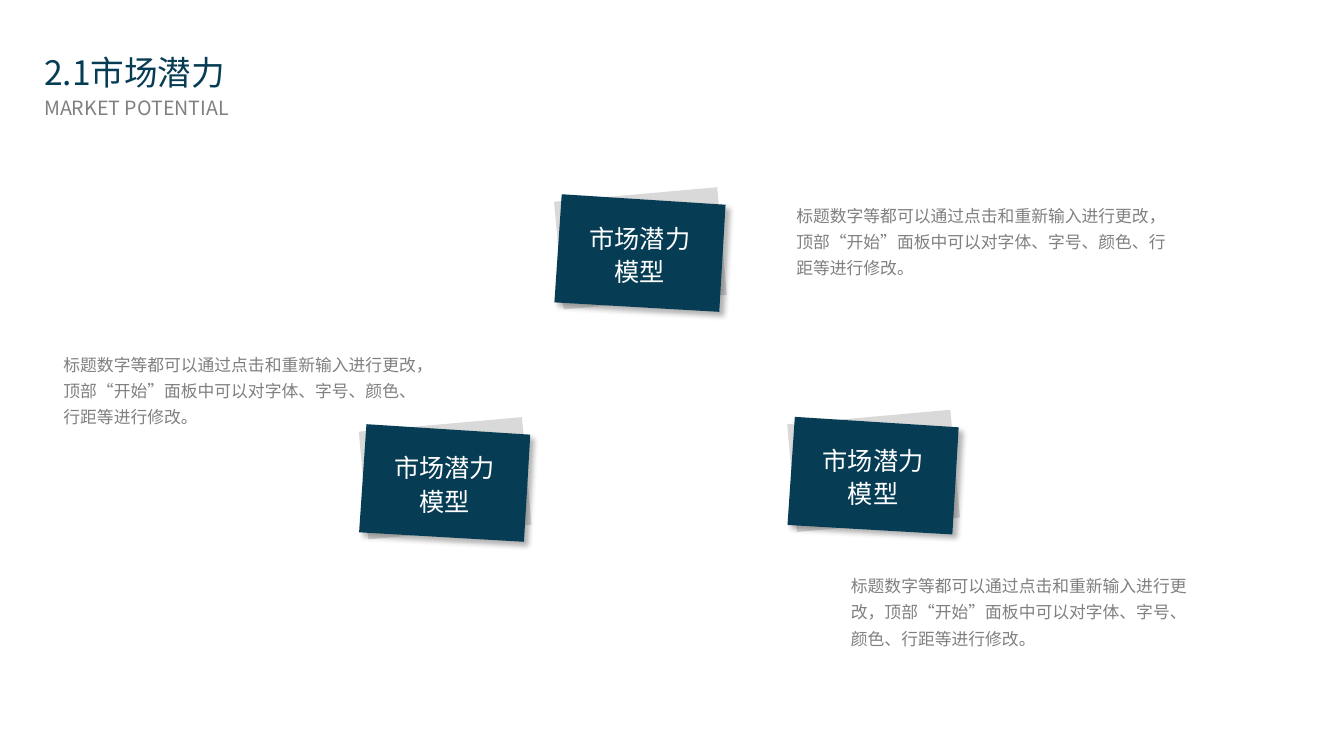
from lxml.etree import SubElement
from pptx import Presentation
from pptx.dml.color import RGBColor
from pptx.enum.lang import MSO_LANGUAGE_ID
from pptx.enum.shapes import MSO_SHAPE
from pptx.enum.text import MSO_ANCHOR, MSO_AUTO_SIZE, PP_ALIGN
from pptx.oxml.ns import qn
from pptx.util import Pt

EMU_PER_PX = 9525
NAVY, GREY, LIGHT, WHITE = "063D54", "808080", "D9D9D9", "FFFFFF"
CARD_OUTLINE = [(157, 112), (0, 103), (7, 0), (163, 10)]
DESCRIPTION = ("标题数字等都可以通过点击和重新输入进行更改，"
               "顶部“开始”面板中可以对字体、字号、颜色、行距等进行修改。")


def px(length):
    return length * EMU_PER_PX


def color(value):
    return RGBColor.from_string(value)


class SlideBuilder:
    font_name = "Noto Sans CJK SC"

    def __init__(self, slide):
        self.slide = slide

    def fill_text(self, frame, lines, size, ink, spacing, align=PP_ALIGN.LEFT):
        frame.word_wrap = True
        frame.text = "\n".join(lines)
        for paragraph in frame.paragraphs:
            paragraph.alignment = align
            paragraph.line_spacing = spacing
            font = paragraph.font
            font.name = self.font_name
            font.size = Pt(size)
            font.color.rgb = color(ink)
            font.language_id = MSO_LANGUAGE_ID.SIMPLIFIED_CHINESE
            properties = paragraph._p.pPr.find(qn("a:defRPr"))
            SubElement(properties, qn("a:ea"), typeface=self.font_name)

    def remove_insets(self, frame):
        frame.margin_left = frame.margin_top = frame.margin_right = 0

    def paint(self, shape, fill):
        shape.shadow.inherit = False
        shape.fill.solid()
        shape.fill.fore_color.rgb = color(fill)
        shape.line.fill.background()

    def title(self, text, left, top, width, height):
        shape = self.slide.shapes.title
        shape.left, shape.top = px(left), px(top)
        shape.width, shape.height = px(width), px(height)
        frame = shape.text_frame
        frame.auto_size = MSO_AUTO_SIZE.NONE
        frame.vertical_anchor = MSO_ANCHOR.TOP
        self.remove_insets(frame)
        self.fill_text(frame, [text], 24, NAVY, 1.2)

    def text(self, text, left, top, width, height, size, spacing):
        shape = self.slide.shapes.add_textbox(px(left), px(top), px(width), px(height))
        frame = shape.text_frame
        frame.auto_size = MSO_AUTO_SIZE.SHAPE_TO_FIT_TEXT
        self.fill_text(frame, [text], size, GREY, spacing)
        return frame

    def card(self, lines, left, top):
        # Tilted grey sheet behind
        sheet = self.slide.shapes.add_shape(
            MSO_SHAPE.RECTANGLE, px(left + 4), px(top), px(156), px(103))
        sheet.rotation = -5.1
        self.paint(sheet, LIGHT)
        # Navy sheet in front, with a soft shadow
        points = [(left + x, top + y) for x, y in CARD_OUTLINE]
        builder = self.slide.shapes.build_freeform(*points[0], scale=EMU_PER_PX)
        builder.add_line_segments(points[1:], close=True)
        front = builder.convert_to_shape()
        self.paint(front, NAVY)
        effects = front._element.spPr.find(qn("a:effectLst"))
        shadow = SubElement(effects, qn("a:outerShdw"), blurRad=str(Pt(4)),
                            dist=str(Pt(4)), dir="2700000", algn="tl", rotWithShape="0")
        shade = SubElement(shadow, qn("a:srgbClr"), val="000000")
        SubElement(shade, qn("a:alpha"), val="30000")
        front.text_frame.vertical_anchor = MSO_ANCHOR.MIDDLE
        self.fill_text(front.text_frame, lines, 18, WHITE, 1.1, PP_ALIGN.CENTER)


def main():
    presentation = Presentation()
    presentation.slide_width, presentation.slide_height = px(1280), px(720)
    slide = presentation.slides.add_slide(presentation.slide_layouts[5])
    builder = SlideBuilder(slide)

    # Cards
    for left, top in [(528, 185), (750, 397), (342, 404)]:
        builder.card(["市场潜力", "模型"], left, top)

    # Descriptions
    for left, top, width in [(749, 185, 386), (51, 327, 357), (801, 538, 346)]:
        builder.text(DESCRIPTION, left, top, width, 85, 12, 1.3)

    # Heading
    builder.title("2.1市场潜力", 42, 42, 183, 98)
    subtitle = builder.text("MARKET POTENTIAL", 42, 87, 277, 30, 14, 1.2)
    builder.remove_insets(subtitle)

    presentation.save("out.pptx")


if __name__ == "__main__":
    main()
